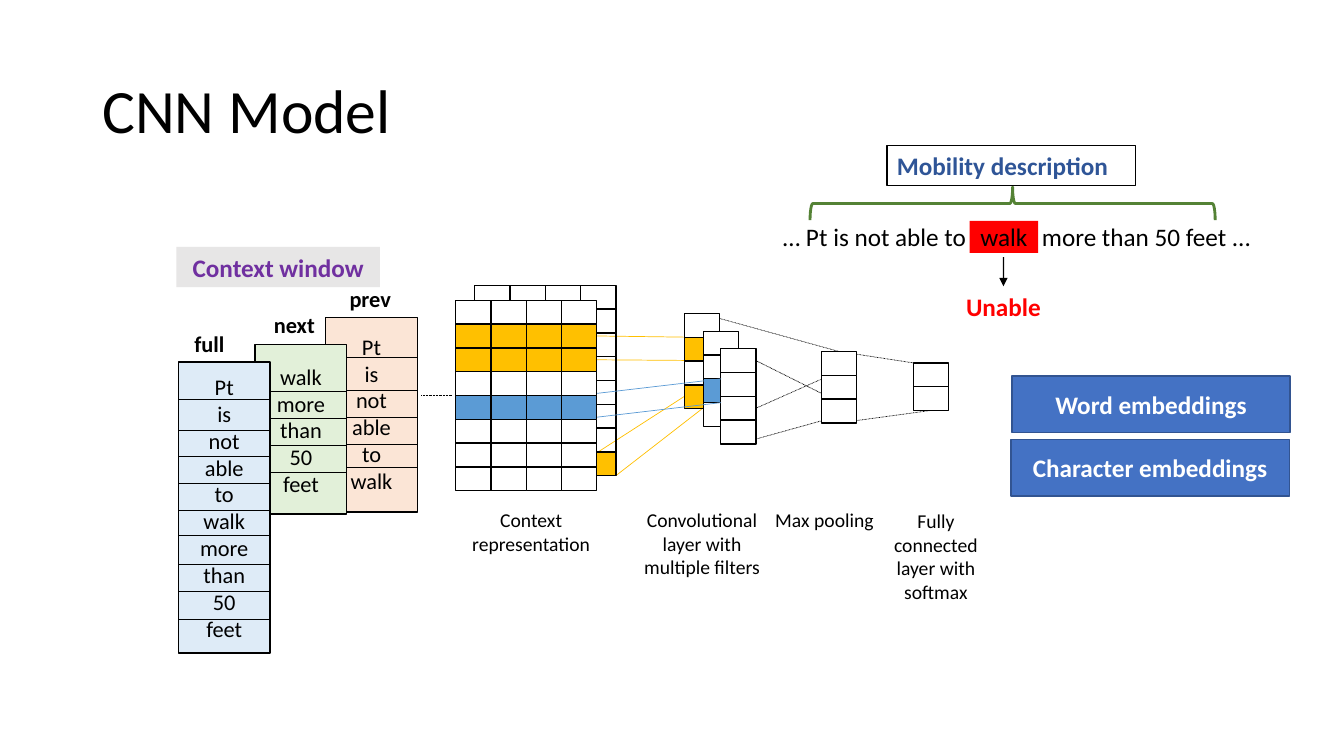
"""Build the CNN Model slide with its context window, layer grids and example sentence."""
import dataclasses
import typing

import lxml.etree
import pptx
import pptx.dml.color
import pptx.enum.dml
import pptx.enum.shapes
import pptx.enum.text
import pptx.oxml.ns
import pptx.util

Pt = pptx.util.Pt
KIND = pptx.enum.shapes.MSO_SHAPE
ALIGN = pptx.enum.text.PP_ALIGN
ANCHOR = pptx.enum.text.MSO_ANCHOR
HUES = {
    "black": "000000", "white": "FFFFFF", "gold": "FFC000", "sky": "5B9BD5",
    "red": "FF0000", "green": "548235", "navy": "2F5597", "purple": "7030A0",
    "gray": "E7E6E6", "peach": "FBE5D6", "mint": "E2F0D9", "ice": "DEEBF7",
    "blue": "4472C4", "edge": "325491",
}
TOP, LEFT, BOTTOM, RIGHT = range(4)
CELL_W, CELL_H = 25.2, 17


@dataclasses.dataclass
class Label:
    text: str
    box: tuple[float, float, float, float]
    size: float = 18
    hue: str = "black"
    bold: bool = False
    align: typing.Any = ALIGN.CENTER
    anchor: typing.Any = ANCHOR.TOP
    fill: str = ""
    edge: str = ""
    width: float = 1
    inset: float = 3.6
    plain: bool = True


@dataclasses.dataclass
class Grid:
    left: float
    top: float
    cols: int
    fills: list[str]


@dataclasses.dataclass
class Stack:
    name: str
    words: str
    box: tuple[float, float, float, float]
    fill: str
    inset: float
    rules: list[float]
    head: tuple[float, float]


@dataclasses.dataclass
class Link:
    start: tuple
    end: tuple
    hue: str = "black"
    width: float = 0.5
    dots: bool = False
    arrow: bool = False
    below: typing.Any = None


def tint(name: str) -> pptx.dml.color.RGBColor:
    return pptx.dml.color.RGBColor.from_string(HUES[name])


def add_block(slide, kind, box, fill: str = "", edge: str = "", width: float = 1):
    shape = slide.shapes.add_shape(kind, *map(Pt, box))
    shape.shadow.inherit = False
    if fill:
        shape.fill.solid()
        shape.fill.fore_color.rgb = tint(fill)
    else:
        shape.fill.background()
    if edge:
        shape.line.color.rgb = tint(edge)
        shape.line.width = Pt(width)
    else:
        shape.line.fill.background()
    return shape


def add_label(slide, label: Label):
    if label.plain:
        shape = slide.shapes.add_textbox(*map(Pt, label.box))
    else:
        shape = add_block(slide, KIND.RECTANGLE, label.box, label.fill, label.edge, label.width)
    frame = shape.text_frame
    frame.word_wrap = True
    frame.vertical_anchor = label.anchor
    frame.margin_top = Pt(label.inset)
    frame.text = label.text
    for para in frame.paragraphs:
        para.alignment = label.align
        for run in para.runs:
            run.font.name = "Calibri"
            run.font.size = Pt(label.size)
            run.font.bold = label.bold
            run.font.color.rgb = tint(label.hue)
    return shape


def add_grid(slide, grid: Grid) -> list[list]:
    return [
        [add_block(slide, KIND.RECTANGLE,
                   (grid.left + col * CELL_W, grid.top + row * CELL_H, CELL_W, CELL_H),
                   fill, "black") for col in range(grid.cols)]
        for row, fill in enumerate(grid.fills)
    ]


def add_link(slide, link: Link) -> None:
    line = slide.shapes.add_connector(pptx.enum.shapes.MSO_CONNECTOR.STRAIGHT, 0, 0, 0, 0)
    if isinstance(link.start[0], (int, float)):
        line.begin_x, line.begin_y = map(Pt, link.start)
    else:
        line.begin_connect(*link.start)
    if isinstance(link.end[0], (int, float)):
        line.end_x, line.end_y = map(Pt, link.end)
    else:
        line.end_connect(*link.end)
    line.line.color.rgb = tint(link.hue)
    line.line.width = Pt(link.width)
    if link.dots:
        line.line.dash_style = pptx.enum.dml.MSO_LINE.ROUND_DOT
    props = line._element.spPr
    qn = pptx.oxml.ns.qn
    if link.arrow:
        lxml.etree.SubElement(props.find(qn("a:ln")), qn("a:tailEnd"), type="triangle")
    lxml.etree.SubElement(props, qn("a:effectLst"))
    if link.below is not None:
        link.below._element.addprevious(line._element)


def add_stack(slide, stack: Stack) -> None:
    left, _, width, _ = stack.box
    add_label(slide, Label("\n".join(stack.words.split()), stack.box, 16, fill=stack.fill,
                           edge="black", inset=stack.inset, plain=False))
    for y in stack.rules:
        add_link(slide, Link((left, y), (left + width, y)))
    add_label(slide, Label(stack.name, (*stack.head, 48.2, 26.6), 16, bold=True, align=ALIGN.LEFT))


def add_layers(slide) -> None:
    add_grid(slide, Grid(339.1, 203.8, 3, [""] * 2))
    back = add_grid(slide, Grid(414.7, 203.8, 1, [""] * 7 + ["gold"]))
    dense = add_grid(slide, Grid(652.3, 259.2, 1, ["white"] * 2))
    first = add_grid(slide, Grid(488.9, 224, 1, ["white", "gold"] * 2))
    second = add_grid(slide, Grid(502.5, 236.6, 1, ["white", "white", "sky", "white"]))
    third = add_grid(slide, Grid(514.8, 249.1, 1, ["white"] * 4))
    pool = add_grid(slide, Grid(586.8, 251.1, 1, ["white"] * 3))
    front = add_grid(slide, Grid(325.5, 214.5, 4,
                                 ["white", "gold", "gold", "white", "sky"] + ["white"] * 3))
    base = back[0][0]
    for start, end in [
        ((439.9, 339.8), (first[3][0], BOTTOM)),
        ((front[1][3], RIGHT), (first[1][0], TOP)),
        ((front[2][3], RIGHT), (537.1, 257.8)),
        ((back[7][0], TOP), (first[3][0], TOP)),
    ]:
        add_link(slide, Link(start, end, "gold", below=base))
    for start, end in [
        ((652.3, 259.2), (pool[0][0], TOP)),
        ((first[0][0], TOP), (pool[0][0], TOP)),
        ((third[2][0], RIGHT), (pool[0][0], RIGHT)),
        ((third[0][0], RIGHT), (pool[2][0], RIGHT)),
        ((third[3][0], BOTTOM), (pool[2][0], RIGHT)),
        ((dense[1][0], BOTTOM), (pool[2][0], BOTTOM)),
    ]:
        add_link(slide, Link(start, end, dots=True, below=base))
    for site in (TOP, BOTTOM):
        add_link(slide, Link((front[4][3], site), (second[2][0], site), "sky", below=front[0][0]))
    add_link(slide, Link((301, 282.2), (322.6, 282.2), dots=True))


def main() -> None:
    deck = pptx.Presentation()
    deck.slide_width, deck.slide_height = Pt(960), Pt(540)
    slide = deck.slides.add_slide(deck.slide_layouts[6])
    title = add_label(slide, Label("CNN Model", (66, 28.8, 828, 104.4), 44,
                                   align=ALIGN.LEFT, anchor=ANCHOR.MIDDLE))
    title.text_frame.paragraphs[0].line_spacing = 0.9
    brace = add_block(slide, KIND.RIGHT_BRACE, (711.4, 0.7, 23.8, 289.4), "", "green", 2)
    brace.rotation = 270
    for label in [
        Label("… Pt is not able to", (552.2, 154.8, 150, 28.8), align=ALIGN.LEFT),
        Label("more than 50 feet ...", (737.2, 154.8, 180, 28.8), align=ALIGN.LEFT),
        Label("Mobility description", (633.6, 103.7, 177.8, 28.8), hue="navy", bold=True,
              align=ALIGN.LEFT, edge="black", width=0.75, plain=False),
        Label("walk", (692.6, 157.7, 49, 23), anchor=ANCHOR.MIDDLE, fill="red", plain=False),
        Label("Context representation", (319.7, 359.3, 119.5, 41), 14),
        Label("Convolutional layer with multiple filters", (450.7, 359.3, 101.5, 58.3), 14),
        Label("Max pooling", (544.3, 359.3, 89.3, 24.5), 14),
        Label("Fully connected layer with softmax", (619.9, 360, 97.2, 74.9), 14),
        Label("Context window", (126, 176.4, 145.4, 28.8), hue="purple", bold=True,
              fill="gray", plain=False),
    ]:
        add_label(slide, label)
    result = add_label(slide, Label("Unable", (681.1, 204.5, 71.3, 28.8), hue="red", bold=True))
    add_link(slide, Link((716.8, 183.6), (result, TOP), width=1, arrow=True))
    add_layers(slide)
    for stack in [
        Stack("prev", "Pt is not able to walk", (232.6, 226.8, 65.5, 139), "peach", 11,
              [255.6, 278.6, 298.1, 317.5, 334.1], (242.6, 200.2)),
        Stack("next", "walk more than 50 feet", (182.2, 246.2, 65.5, 121), "mint", 13,
              [279.4 + 19.4 * row for row in range(4)], (188.6, 218.9)),
        Stack("full", "Pt is not able to walk more than 50 feet", (127.4, 258.5, 65.5, 208.1),
              "ice", 8, [285.1, 307.4, 326.2, 345.6, 364.3, 382.3, 403.2, 422.6, 442.1],
              (131.8, 232.6)),
    ]:
        add_stack(slide, stack)
    for text, left, top in [("Character embeddings", 722.2, 313.9),
                            ("Word embeddings", 722.9, 268.6)]:
        add_label(slide, Label(text, (left, top, 198.7, 40.3), hue="white", bold=True,
                               anchor=ANCHOR.MIDDLE, fill="blue", edge="edge", plain=False))
    deck.save("out.pptx")


if __name__ == "__main__":
    main()
